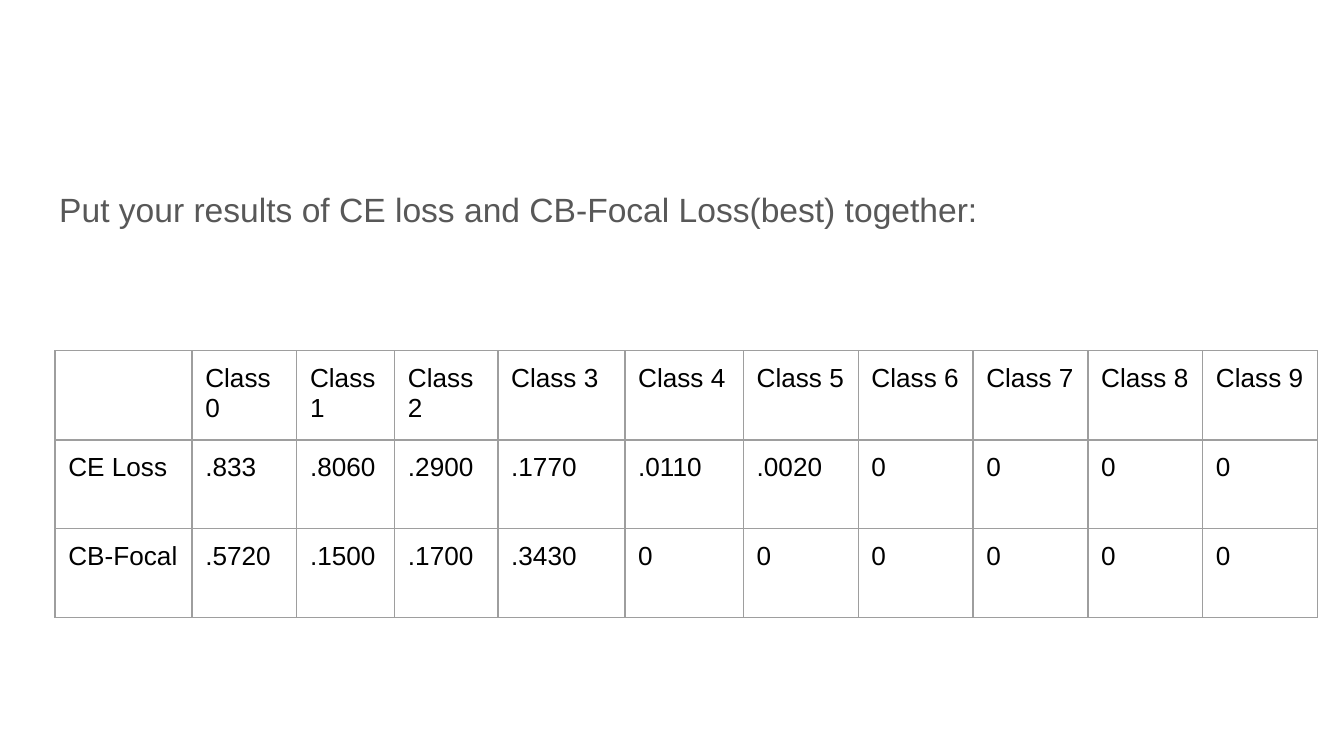
from dataclasses import dataclass

from lxml.etree import SubElement as Sub
from pptx import Presentation as Deck
from pptx.dml.color import RGBColor as Rgb
from pptx.oxml.ns import qn
from pptx.util import Cm, Pt


@dataclass(frozen=True)
class Theme:
    """Colours, font and type sizes of the slide."""
    face: str = "Arial"
    grey: str = "585858"
    ink: str = "000000"
    rule: str = "9E9E9E"
    lead: int = 18
    body: int = 14
    pad: float = 0.25
    line: float = 0.75


class Page:
    """Holds the theme and the current slide."""

    def __init__(self, slide, theme):
        """Keep the slide and its theme."""
        self.slide, self.theme = slide, theme

    def apply(self, item, form):
        """Set attributes from a dict of format values."""
        for name, value in form.items():
            setattr(item, name, value)

    def pads(self):
        """Give the four equal margins."""
        sides = ("left", "right", "top", "bottom")
        return {f"margin_{side}": Cm(self.theme.pad) for side in sides}

    def style(self, frame, size, color):
        """Format every run of a text frame."""
        form = {"name": self.theme.face, "size": Pt(size)}
        for para in frame.paragraphs:
            for run in para.runs:
                self.apply(run.font, form)
                run.font.color.rgb = Rgb.from_string(color)

    def text(self, words, *box):
        """Add the lead text."""
        frame = self.slide.shapes.add_textbox(*map(Cm, box)).text_frame
        self.apply(frame, {"word_wrap": True, **self.pads()})
        frame.text = words
        frame.paragraphs[0].line_spacing = 1.15
        self.style(frame, self.theme.lead, self.theme.grey)

    def border(self, cell):
        """Draw all four edges of a cell."""
        props = cell._tc.get_or_add_tcPr()
        for edge in ("lnL", "lnR", "lnT", "lnB"):
            line = Sub(props, qn(f"a:{edge}"), w=str(Pt(self.theme.line)))
            fill = Sub(line, qn("a:solidFill"))
            Sub(fill, qn("a:srgbClr"), val=self.theme.rule)

    def table(self, data, left, top, cols, rows):
        """Add a plain ruled table."""
        box = map(Cm, (left, top, sum(cols), sum(rows)))
        grid = self.slide.shapes.add_table(len(rows), len(cols), *box).table
        self.apply(grid, {"first_row": False, "horz_banding": False})
        for col, width in zip(grid.columns, cols):
            col.width = Cm(width)
        for row, high, words in zip(grid.rows, rows, data):
            row.height = Cm(high)
            for cell, word in zip(row.cells, words):
                cell.text = word
                self.apply(cell, self.pads())
                self.style(cell.text_frame, self.theme.body, self.theme.ink)
                self.border(cell)
                cell.fill.background()


def main():
    """Build and save the slide."""
    deck = Deck()
    deck.slide_width, deck.slide_height = Cm(25.4), Cm(14.29)
    page = Page(deck.slides.add_slide(deck.slide_layouts[6]), Theme())
    page.text("Put your results of CE loss and CB-Focal Loss(best) together:",
              0.87, 3.2, 23.67, 9.5)
    data = [
        ["", "Class \v0", "Class\n1", "Class\v2",
         *(f"Class {num}" for num in range(3, 10))],
        ["CE Loss", ".833", ".8060", ".2900", ".1770", ".0110", ".0020",
         *["0"] * 4],
        ["CB-Focal", ".5720", ".1500", ".1700", ".3430", *["0"] * 6],
    ]
    cols = [2.59, 1.98, 1.85, 1.95, 2.4, 2.24, *[2.17] * 5]
    page.table(data, 1.04, 6.63, cols, [1.65, 1.68, 1.68])
    deck.save("out.pptx")


if __name__ == "__main__":
    main()
